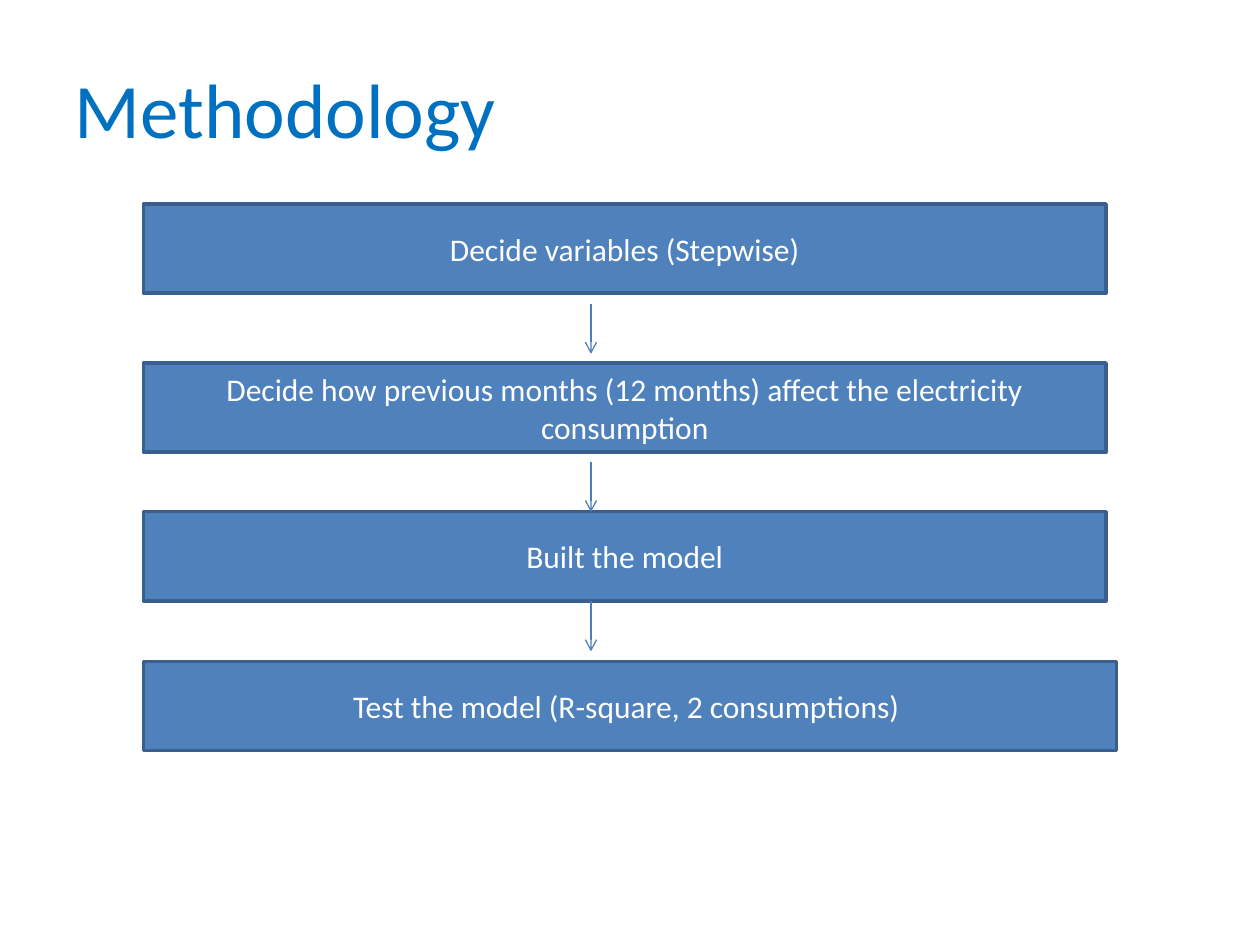
from dataclasses import dataclass

import pptx
import pptx.dml.color
import pptx.enum.shapes
import pptx.enum.text
import pptx.oxml
import pptx.oxml.ns
import pptx.slide
import pptx.text.text
import pptx.util

COLORS = {
    "title": "0070C0",
    "box": "4F81BD",
    "border": "3A5F8C",
    "arrow": "4B7EBC",
    "text": "FFFFFF",
}
FONT = "Calibri"
BOX_LEFT, BOX_HEIGHT = 82, 51
ARROW_X, ARROW_LENGTH = 337.7, 28.6
DRAWING_NS = pptx.oxml.ns.nsdecls("a")


@dataclass(frozen=True)
class Step:
    text: str
    top: float
    width: float = 550


STEPS = [
    Step("Decide variables (Stepwise)", 116.6),
    Step("Decide how previous months (12 months) affect the electricity consumption", 207.4),
    Step("Built the model", 292.4),
    Step("Test the model (R-square, 2 consumptions) ", 378, 556),
]
ARROW_TOPS = [173.6, 264, 343.6]


def rgb(name: str) -> pptx.dml.color.RGBColor:
    return pptx.dml.color.RGBColor.from_string(COLORS[name])


def write_text(frame: pptx.text.text.TextFrame, text: str, size: float,
               color: str) -> pptx.text.text._Paragraph:
    """Write one centred paragraph and return it."""
    frame.word_wrap = True
    para = frame.paragraphs[0]
    para.alignment = pptx.enum.text.PP_ALIGN.CENTER
    span = para.add_run()
    span.text = text
    for name, value in {"name": FONT, "size": pptx.util.Pt(size)}.items():
        setattr(span.font, name, value)
    span.font.color.rgb = rgb(color)
    return para


def add_title(page: pptx.slide.Slide, text: str) -> None:
    box = page.shapes.add_textbox(
        *map(pptx.util.Pt, (-105.1, 37.5, 536.4, 42.5)))
    para = write_text(box.text_frame, text, 44, "title")
    for name, value in {"line_spacing": 0.9, "space_after": pptx.util.Pt(30)}.items():
        setattr(para, name, value)


def add_step(page: pptx.slide.Slide, step: Step) -> None:
    box = page.shapes.add_shape(
        pptx.enum.shapes.MSO_SHAPE.RECTANGLE,
        *map(pptx.util.Pt, (BOX_LEFT, step.top, step.width, BOX_HEIGHT)))
    box.shadow.inherit = False
    box.fill.solid()
    box.fill.fore_color.rgb = rgb("box")
    box.line.color.rgb = rgb("border")
    box.line.width = pptx.util.Pt(2)
    box.text_frame.vertical_anchor = pptx.enum.text.MSO_ANCHOR.MIDDLE
    write_text(box.text_frame, step.text, 18, "text")


def add_arrow(page: pptx.slide.Slide, top: float) -> None:
    arrow = page.shapes.add_connector(
        pptx.enum.shapes.MSO_CONNECTOR.STRAIGHT,
        *map(pptx.util.Pt, (ARROW_X, top, ARROW_X, top + ARROW_LENGTH)))
    arrow.line.color.rgb = rgb("arrow")
    arrow.line.width = pptx.util.Pt(0.75)
    # Open arrowhead, no shadow
    arrow.line._get_or_add_ln().append(
        pptx.oxml.parse_xml(f'<a:tailEnd {DRAWING_NS} type="arrow"/>'))
    arrow._element.spPr.append(pptx.oxml.parse_xml(f"<a:effectLst {DRAWING_NS}/>"))


def main() -> None:
    deck = pptx.Presentation()
    deck.slide_width, deck.slide_height = pptx.util.Pt(720), pptx.util.Pt(540)
    page = deck.slides.add_slide(deck.slide_layouts[6])

    # Heading
    add_title(page, "Methodology")

    # Process steps
    for step in STEPS:
        add_step(page, step)

    # Arrows between the steps, left of the box centres
    for top in ARROW_TOPS:
        add_arrow(page, top)

    deck.save("out.pptx")


if __name__ == "__main__":
    main()
